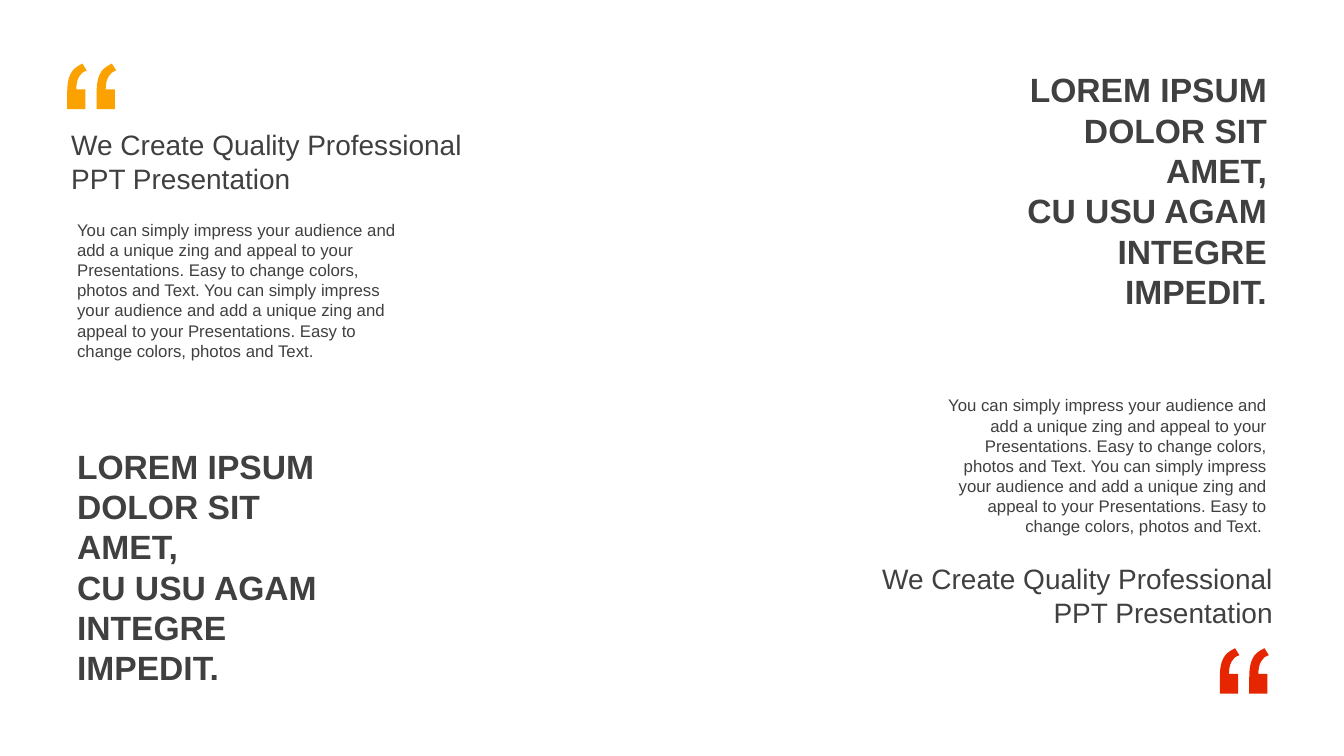
from dataclasses import dataclass

from lxml import etree
from pptx import Presentation
from pptx import util as u
from pptx.dml import color
from pptx.enum import text
from pptx.oxml import ns


@dataclass(frozen=True)
class Theme:
    font: str = "Arial"
    ink: str = "404040"
    orange: str = "FBA200"
    red: str = "E62601"
    headline_size: int = 24
    title_size: int = 20
    body_size: int = 12


THEME = Theme()
LEFT, RIGHT = text.PP_ALIGN.LEFT, text.PP_ALIGN.RIGHT
SLIDE_WIDTH, SLIDE_HEIGHT, MARGIN = 960, 540, 48
COMMA_GAP = 21
COMMA_OUTLINE = [
    (10.9, 0), (14, 5),
    (11.5, 5.8), (9.4, 7.2), (8.5, 9.4),
    (7.2, 11.5), (6.6, 14.4), (6.5, 18.4),
    (13, 18.4), (13, 32.5), (0, 32.5), (0, 21.6),
    (0, 15.1), (0.7, 10.8), (2.2, 7.9),
    (3.6, 4.3), (6.5, 2.2), (10.9, 0),
]
CURVE_STARTS = (2, 5, 12, 15)

HEADLINE = ["LOREM IPSUM DOLOR SIT AMET,", "CU USU AGAM INTEGRE IMPEDIT."]
TITLE = ["We Create Quality Professional", "PPT Presentation"]
PITCH = ("You can simply impress your audience and add a unique zing and appeal "
         "to your Presentations. Easy to change colors, photos and Text.")
BODY = f"{PITCH} {PITCH}"


def round_commas(mark):
    outline = next(mark.element.iter(ns.qn("a:path")))
    steps = list(outline)
    contour_length = len(COMMA_OUTLINE) + 1
    for contour_start in (0, contour_length):
        for curve_start in CURVE_STARTS:
            first = contour_start + curve_start
            curve = etree.Element(ns.qn("a:cubicBezTo"))
            steps[first].addprevious(curve)
            for step in steps[first:first + 3]:
                curve.append(step[0])
                outline.remove(step)


def add_quote_mark(group, left, top, fill):
    right_comma, left_comma = [
        [(u.Pt(x + shift), u.Pt(y)) for x, y in COMMA_OUTLINE]
        for shift in (COMMA_GAP, 0)]
    builder = group.shapes.build_freeform(*right_comma[0])
    builder.add_line_segments(right_comma[1:])
    builder.move_to(*left_comma[0])
    builder.add_line_segments(left_comma[1:])
    mark = builder.convert_to_shape(u.Pt(left), u.Pt(top))
    round_commas(mark)
    mark.shadow.inherit = False
    mark.fill.solid()
    mark.fill.fore_color.rgb = color.RGBColor.from_string(fill)
    mark.line.fill.background()


def add_copy(group, lines, top, width, height, size, align, bold=False):
    left = MARGIN if align == LEFT else SLIDE_WIDTH - MARGIN - width
    box = group.shapes.add_textbox(u.Pt(left), u.Pt(top), u.Pt(width), u.Pt(height))
    frame = box.text_frame
    frame.text = "\n".join(lines)
    frame.word_wrap = True
    frame.auto_size = text.MSO_AUTO_SIZE.SHAPE_TO_FIT_TEXT
    for paragraph in frame.paragraphs:
        paragraph.alignment = align
        for run in paragraph.runs:
            run.font.name = THEME.font
            run.font.size = u.Pt(size)
            run.font.bold = bold
            run.font.color.rgb = color.RGBColor.from_string(THEME.ink)
    return frame


def add_headline(group, top, align):
    frame = add_copy(group, HEADLINE, top, 214.5, 181.4,
                     THEME.headline_size, align, bold=True)
    frame.vertical_anchor = text.MSO_ANCHOR.MIDDLE


def add_title(group, lines, top, align):
    frame = add_copy(group, lines, top, 289.5, 48.2, THEME.title_size, align)
    frame.vertical_anchor = text.MSO_ANCHOR.MIDDLE
    frame.margin_left = frame.margin_right = u.Pt(2.8)
    frame.margin_top = frame.margin_bottom = 0


def add_body(group, words, top, align):
    add_copy(group, [words], top, 251.3, 108.7, THEME.body_size, align)


def main():
    deck = Presentation()
    deck.slide_width, deck.slide_height = u.Pt(SLIDE_WIDTH), u.Pt(SLIDE_HEIGHT)
    slide = deck.slides.add_slide(deck.slide_layouts[6])

    right_quote = slide.shapes.add_group_shape()
    add_headline(right_quote, 45.2, RIGHT)
    add_title(right_quote, [TITLE[0] + " ", TITLE[1]], 401, RIGHT)
    add_body(right_quote, BODY + " ", 278.7, RIGHT)
    add_quote_mark(right_quote, 871.3, 463, THEME.red)

    left_quote = slide.shapes.add_group_shape()
    add_headline(left_quote, 314, LEFT)
    add_title(left_quote, TITLE, 91.2, LEFT)
    add_body(left_quote, BODY, 153.2, LEFT)
    add_quote_mark(left_quote, MARGIN, 45.4, THEME.orange)

    deck.save("out.pptx")


if __name__ == "__main__":
    main()
